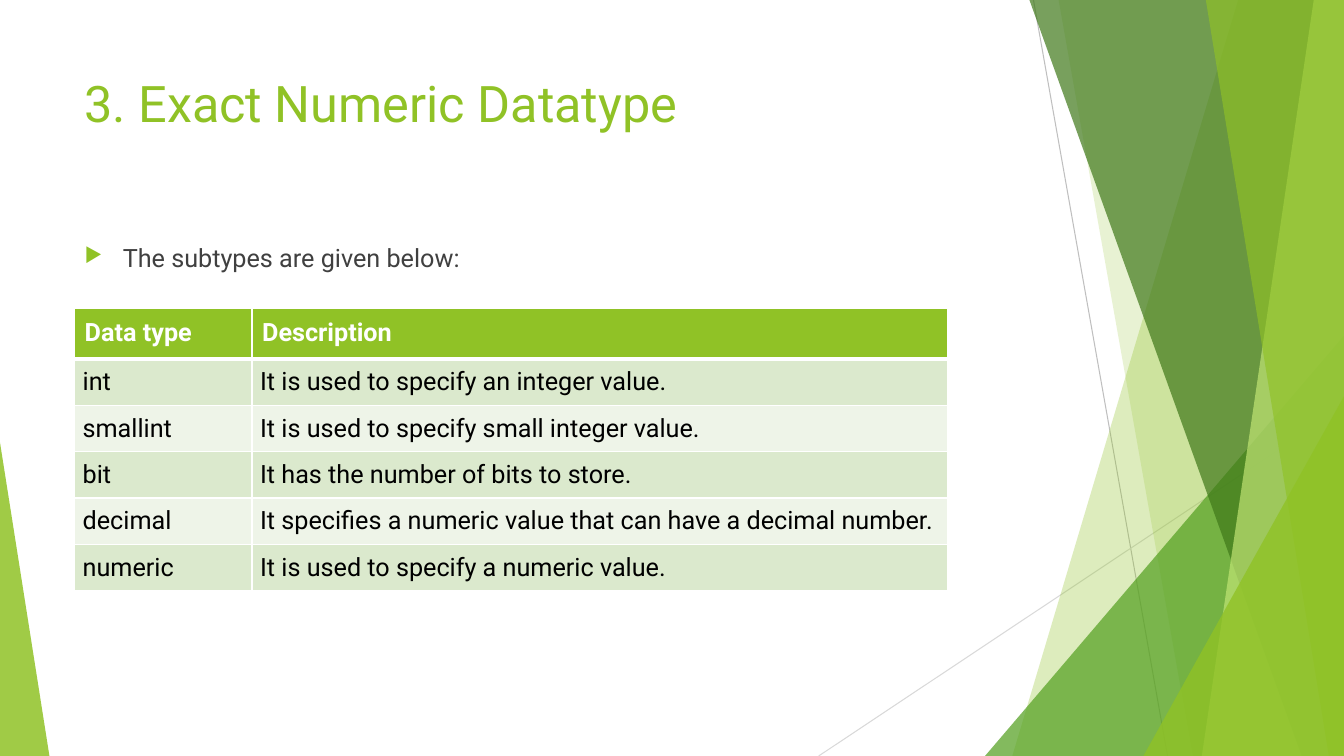
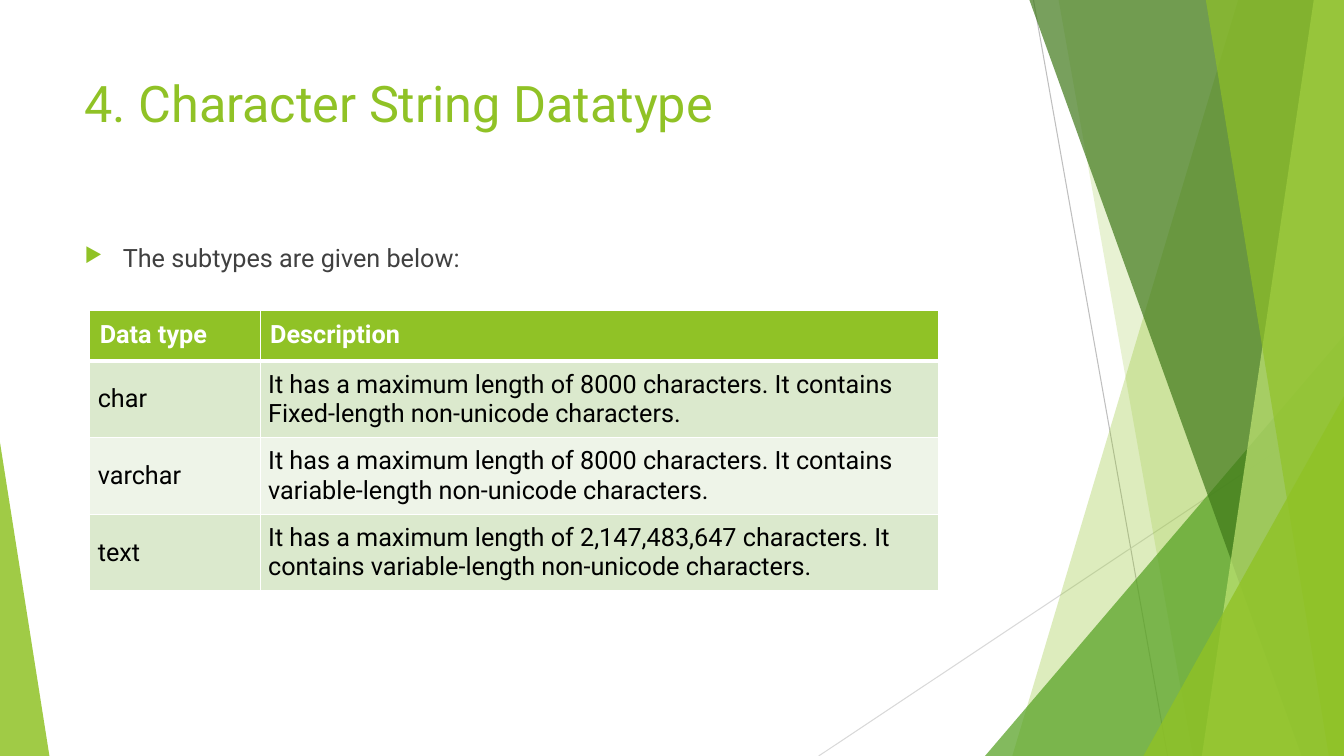
from dataclasses import dataclass

from lxml.etree import SubElement as sub
from pptx import Presentation
from pptx.dml.color import RGBColor
from pptx.enum.shapes import MSO_CONNECTOR as Link, MSO_SHAPE as Preset
from pptx.enum.text import MSO_ANCHOR as Anchor
from pptx.oxml.ns import qn
from pptx.util import Inches, Pt

LIME = RGBColor(0x90, 0xC2, 0x26)
GREEN = RGBColor(0x54, 0xA0, 0x21)
DARK = RGBColor(0x3F, 0x78, 0x19)
PALE = RGBColor(0xC0, 0xE4, 0x74)
TINT = RGBColor(0xDB, 0xE9, 0xCD)
LIGHT = RGBColor(0xEE, 0xF4, 0xE8)
WHITE = RGBColor(0xFF, 0xFF, 0xFF)
BLACK = RGBColor(0x00, 0x00, 0x00)
INK = RGBColor(0x40, 0x40, 0x40)
GRAY = RGBColor(0xBF, 0xBF, 0xBF)
MIST = RGBColor(0xD9, 0xD9, 0xD9)
FONT = "Roboto"
WIDE, HIGH = 13.33, 7.5
LEFT, SPAN = 0.74, 9.4
HEAD = 0.49


@dataclass(frozen=True)
class Line:
    start: tuple[float, float]
    end: tuple[float, float]
    color: RGBColor


@dataclass(frozen=True)
class Band:
    top: float
    foot: float
    color: RGBColor
    alpha: int


@dataclass(frozen=True)
class Wedge:
    left: float
    top: float
    width: float
    peak: int
    color: RGBColor
    alpha: int


@dataclass(frozen=True)
class Page:
    title: str
    left: float
    top: float
    cols: tuple[float, float]
    high: float
    rows: tuple[tuple[str, str], ...]


DECOR = (
    Line((10.25, 0), (11.58, HIGH), GRAY),
    Line((WIDE, 4.03), (8.12, HIGH), MIST),
    Band(12.28, 10.04, LIME, 30),
    Band(10.5, 11.83, LIME, 20),
    Wedge(9.77, 3.33, 3.56, 1, GREEN, 72),
    Band(10.21, 12.91, DARK, 70),
    Band(13.03, 11.92, PALE, 70),
    Band(11.96, 13.18, LIME, 65),
    Wedge(11.34, 3.93, 1.99, 1, LIME, 80),
    Wedge(0, 4.39, 0.49, 0, LIME, 85),
)

PAGES = (
    Page("3. Exact Numeric Datatype", 0.74, 3.06, (1.76, 6.9), 0.46, (
        ("int", "It is used to specify an integer value."),
        ("smallint", "It is used to specify small integer value."),
        ("bit", "It has the number of bits to store."),
        ("decimal", "It specifies a numeric value that can have a decimal number."),
        ("numeric", "It is used to specify a numeric value."),
    )),
    Page("4. Character String Datatype", 0.89, 3.08, (1.69, 6.73), 0.75, (
        ("char", "It has a maximum length of 8000 characters. "
                 "It contains Fixed-length non-unicode characters."),
        ("varchar", "It has a maximum length of 8000 characters. "
                    "It contains variable-length non-unicode characters."),
        ("text", "It has a maximum length of 2,147,483,647 characters. "
                 "It contains variable-length non-unicode characters."),
    )),
)


def paint(shape, color: RGBColor, alpha: int) -> None:
    shape.shadow.inherit = False
    shape.fill.solid()
    shape.fill.fore_color.rgb = color
    shape.line.fill.background()
    tone = shape.fill._xPr.find(qn("a:solidFill"))[0]
    sub(tone, qn("a:alpha"), val=str(alpha * 1000))


def draw_line(slide, line: Line) -> None:
    ends = [Inches(n) for n in line.start + line.end]
    link = slide.shapes.add_connector(Link.STRAIGHT, *ends)
    link.line.color.rgb = line.color
    link.line.width = Pt(0.75)
    sub(link._element.spPr, qn("a:effectLst"))


def draw_band(slide, band: Band) -> None:
    pen = slide.shapes.build_freeform(Inches(band.top), 0)
    spots = ((WIDE, 0), (WIDE, HIGH), (band.foot, HIGH))
    pen.add_line_segments([(Inches(x), Inches(y)) for x, y in spots], close=True)
    paint(pen.convert_to_shape(), band.color, band.alpha)


def draw_wedge(slide, wedge: Wedge) -> None:
    shape = slide.shapes.add_shape(
        Preset.ISOSCELES_TRIANGLE, Inches(wedge.left), Inches(wedge.top),
        Inches(wedge.width), Inches(HIGH - wedge.top))
    shape.adjustments[0] = wedge.peak
    paint(shape, wedge.color, wedge.alpha)


def draw_decor(slide) -> None:
    tools = {Line: draw_line, Band: draw_band, Wedge: draw_wedge}
    for part in DECOR:
        tools[type(part)](slide, part)


def style(para, size: int, color: RGBColor, bold: bool = False) -> None:
    for run in para.runs:
        run.font.name = FONT
        run.font.size = Pt(size)
        run.font.bold = bold
        run.font.color.rgb = color


def add_text(slide, text: str, top: float, high: float, size: int, color: RGBColor):
    box = slide.shapes.add_textbox(
        Inches(LEFT), Inches(top), Inches(SPAN), Inches(high))
    frame = box.text_frame
    frame.word_wrap = True
    frame.text = text
    para = frame.paragraphs[0]
    style(para, size, color)
    return para


def add_mark(para) -> None:
    props = para._p.get_or_add_pPr()
    props.set("marL", str(Inches(0.38)))
    props.set("indent", str(-Inches(0.38)))
    sub(sub(props, qn("a:buClr")), qn("a:srgbClr"), val=str(LIME))
    sub(props, qn("a:buSzPct"), val="80000")
    sub(props, qn("a:buChar"), char="▶")


def add_edge(cell, side: str, width: float) -> None:
    edge = sub(cell._tc.get_or_add_tcPr(), qn(f"a:ln{side}"), w=str(Pt(width)))
    sub(sub(edge, qn("a:solidFill")), qn("a:srgbClr"), val=str(WHITE))


def fill_cell(cell, text: str, row: int) -> None:
    head = row == 0
    inset = Inches(0.1 if head else 0.08)
    cell.margin_left = cell.margin_right = inset
    cell.margin_top = cell.margin_bottom = inset
    cell.vertical_anchor = Anchor.TOP if head else Anchor.MIDDLE
    for side in "LRTB":
        thick = (head and side == "B") or (row == 1 and side == "T")
        add_edge(cell, side, 3 if thick else 1)
    cell.fill.solid()
    cell.fill.fore_color.rgb = LIME if head else TINT if row % 2 else LIGHT
    cell.text_frame.text = text
    style(cell.text_frame.paragraphs[0], 18, WHITE if head else BLACK, head)


def add_grid(slide, page: Page) -> None:
    rows = (("Data type", "Description"), *page.rows)
    tall = HEAD + page.high * len(page.rows)
    grid = slide.shapes.add_table(
        len(rows), len(page.cols), Inches(page.left), Inches(page.top),
        Inches(sum(page.cols)), Inches(tall)).table
    grid.horz_banding = False
    for col, width in zip(grid.columns, page.cols):
        col.width = Inches(width)
    for r, row in enumerate(rows):
        grid.rows[r].height = Inches(page.high if r else HEAD)
        for c, text in enumerate(row):
            fill_cell(grid.cell(r, c), text, r)


def main() -> None:
    deck = Presentation()
    deck.slide_width, deck.slide_height = Inches(WIDE), Inches(HIGH)
    for page in PAGES:
        slide = deck.slides.add_slide(deck.slide_layouts[6])
        draw_decor(slide)
        add_text(slide, page.title, 0.67, 1.44, 36, LIME)
        add_mark(add_text(slide, "The subtypes are given below:", 2.36, 4.24, 18, INK))
        add_grid(slide, page)
    deck.save("out.pptx")


if __name__ == "__main__":
    main()
